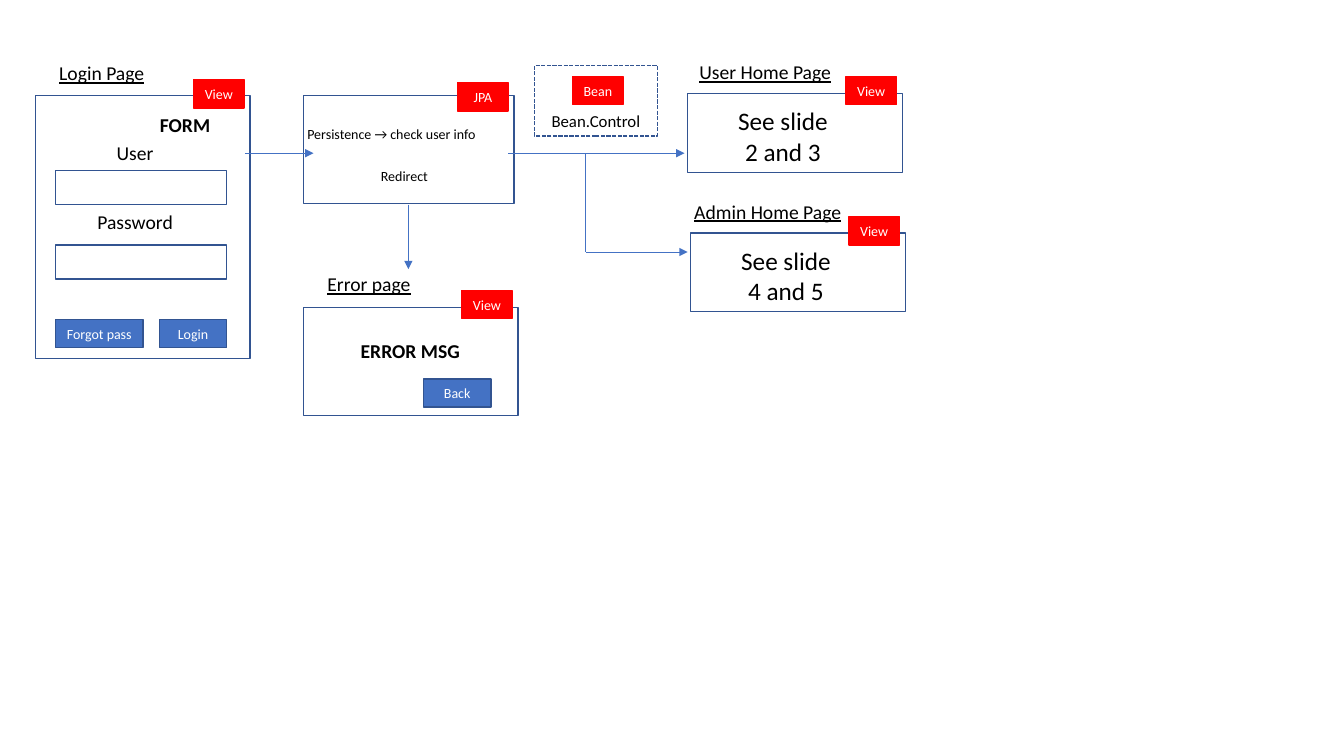
from pptx import Presentation, util as u
from pptx.dml.color import RGBColor
from pptx.enum import dml, shapes, text
from pptx.oxml.ns import qn
from lxml import etree

THEME = {
    "font": "Calibri", "paper": "FFFFFF", "ink": "000000", "outline": "325491",
    "accent": "4472C4", "tag": "FF0000",
    "small": 10, "control": 12, "label": 14, "pointer": 18,
    "edge": 1, "arrow": 0.5,
}
TAG_SIZE = (0.5, 0.28)
TAG_INSET = 0.56  # from a panel's right edge to its tag's left edge

# left, top, width, height, tag, rise of the tag above the panel
PANELS = [
    (0.35, 0.95, 2.13, 2.61, "View", 0.16),
    (3.01, 0.95, 2.09, 1.07, "JPA", 0.13),
    (3.01, 3.05, 2.13, 1.07, "View", 0.17),
    (6.82, 0.93, 2.13, 0.78, "View", 0.17),
    (6.85, 2.31, 2.13, 0.78, "View", 0.16),
]
BEAN_TAG = ("Bean", 5.68, 0.76)
BEAN_FRAME = (5.3, 0.65, 1.22, 0.7)
FIELDS = [(0.55, top, 1.7, 0.34) for top in (1.69, 2.43)]
BUTTONS = [
    ("Forgot pass", (0.55, 3.17, 0.87, 0.28)),
    ("Login", (1.58, 3.17, 0.67, 0.28)),
    ("Back", (4.2, 3.76, 0.67, 0.28)),
]
UNDERLINED, BOLD, LEFT = {"underline": True}, {"bold": True}, text.PP_ALIGN.LEFT
CENTER = text.PP_ALIGN.CENTER
# wording, place, type size, alignment, font format
LABELS = [
    ("Login Page", (0.44, 0.56, 1.14, 0.34), "label", CENTER, UNDERLINED),
    ("Error page", (3.09, 2.65, 1.14, 0.34), "label", CENTER, UNDERLINED),
    ("User Home Page", (6.79, 0.55, 1.6, 0.34), "label", CENTER, UNDERLINED),
    ("Admin Home Page", (6.74, 1.93, 1.75, 0.34), "label", CENTER, UNDERLINED),
    ("FORM", (1.34, 1.07, 0.99, 0.34), "label", CENTER, BOLD),
    ("ERROR MSG", (3.14, 3.31, 1.86, 0.34), "label", CENTER, BOLD),
    ("User", (0.77, 1.35, 1.14, 0.34), "label", CENTER, {}),
    ("Password", (0.77, 2.03, 1.14, 0.34), "label", CENTER, {}),
    ("Persistence → check user info", (2.95, 1.2, 2.13, 0.27), "small", LEFT, {}),
    ("Redirect", (3.68, 1.61, 0.74, 0.27), "small", LEFT, {}),
    ("Bean.Control", (5.3, 1.05, 1.22, 0.3), "control", CENTER, {}),
    ("See slide 2 and 3", (7.19, 1.0, 1.15, 0.71), "pointer", CENTER, {}),
    ("See slide 4 and 5", (7.22, 2.38, 1.15, 0.71), "pointer", CENTER, {}),
]
# start, end, arrowhead at the end
FLOWS = [
    ((2.43, 1.52), (3.11, 1.52), True),
    ((4.05, 2.03), (4.05, 2.67), True),
    ((5.04, 1.52), (6.79, 1.52), True),
    ((5.81, 1.52), (5.81, 2.5), False),
    ((5.81, 2.5), (6.82, 2.5), True),
]


def color(name):
    """Return a theme colour."""
    return RGBColor.from_string(THEME[name])


def inches(values):
    """Turn numbers into lengths."""
    return [u.Inches(value) for value in values]


def write(shape, wording, size, ink, align=CENTER, extra=None):
    """Write one formatted paragraph into a shape."""
    shape.text_frame.word_wrap = True
    paragraph = shape.text_frame.paragraphs[0]
    paragraph.alignment = align
    run = paragraph.add_run()
    run.text = wording
    run.font.color.rgb = color(ink)
    font_format = {"name": THEME["font"], "size": u.Pt(THEME[size]), **(extra or {})}
    for attribute, value in font_format.items():
        setattr(run.font, attribute, value)


def add_box(place, fill="paper", outline="outline", wording=None):
    """Add a rectangle, with small white wording if given."""
    box = slide.shapes.add_shape(shapes.MSO_SHAPE.RECTANGLE, *inches(place))
    box.shadow.inherit = False
    if fill:
        box.fill.solid()
        box.fill.fore_color.rgb = color(fill)
    else:
        box.fill.background()
    box.line.color.rgb = color(outline)
    box.line.width = u.Pt(THEME["edge"])
    if wording:
        box.text_frame.vertical_anchor = text.MSO_ANCHOR.MIDDLE
        write(box, wording, "small", "paper")
    return box


def add_tag(wording, left, top):
    """Add a red layer tag."""
    add_box((left, top, *TAG_SIZE), "tag", "tag", wording)


def add_label(wording, place, size, align, extra):
    """Add a text box."""
    label = slide.shapes.add_textbox(*inches(place))
    write(label, wording, size, "ink", align, extra)
    label.text_frame.auto_size = text.MSO_AUTO_SIZE.SHAPE_TO_FIT_TEXT


def add_flow(start, end, arrowhead):
    """Add a straight flow line, with an arrowhead if asked."""
    flow = slide.shapes.add_connector(
        shapes.MSO_CONNECTOR.STRAIGHT, *inches(start + end))
    flow.line.color.rgb = color("accent")
    flow.line.width = u.Pt(THEME["arrow"])
    if arrowhead:
        etree.SubElement(flow.line._get_or_add_ln(), qn("a:tailEnd"), type="triangle")
    etree.SubElement(flow._element.spPr, qn("a:effectLst"))


deck = Presentation()
deck.slide_width, deck.slide_height = inches((13.33, 7.5))
slide = deck.slides.add_slide(deck.slide_layouts.get_by_name("Blank"))

for left, top, width, height, tag, rise in PANELS:
    add_box((left, top, width, height))
    add_tag(tag, left + width - TAG_INSET, top - rise)
for field in FIELDS:
    add_box(field)
for wording, place in BUTTONS:
    add_box(place, "accent", wording=wording)
add_tag(*BEAN_TAG)
for label in LABELS:
    add_label(*label)
add_box(BEAN_FRAME, fill=None).line.dash_style = dml.MSO_LINE.SQUARE_DOT
for flow in FLOWS:
    add_flow(*flow)

deck.save("out.pptx")
